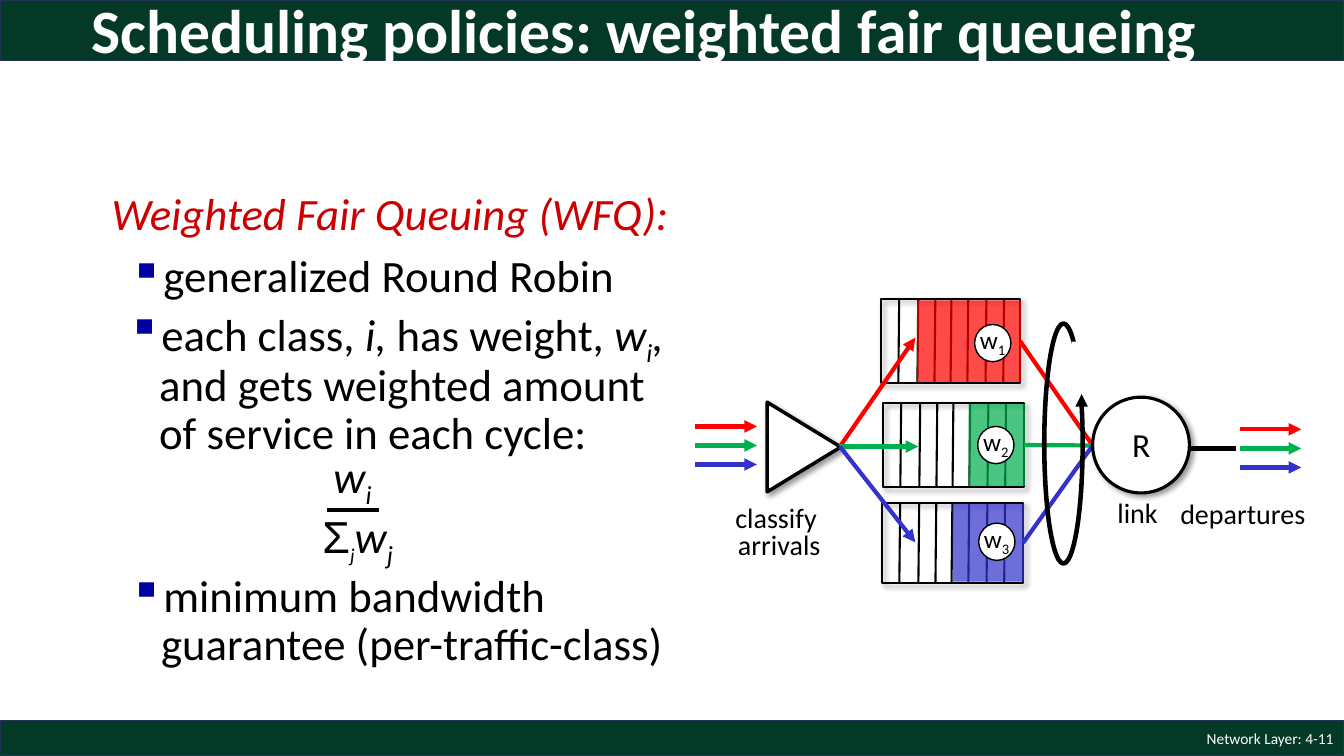
from lxml.etree import SubElement
from pptx import Presentation
from pptx.dml.color import RGBColor
from pptx.enum.shapes import MSO_CONNECTOR as CONNECTOR, MSO_SHAPE as SHAPE
from pptx.enum.text import MSO_ANCHOR as ANCHOR, MSO_AUTO_SIZE as AUTO_SIZE, PP_ALIGN as ALIGN
from pptx.oxml.ns import qn
from pptx.util import Pt

COLORS = {
    "band": "043927", "band_line": "1E3256", "heading": "CC0000", "bullet": "0000A3",
    "black": "000000", "white": "FFFFFF", "red": "FF0000", "green": "00B050", "blue": "3333CC",
}
BANDS = [(0, 0, 960, 43.2), (0, 514.8, 960, 25.2)]

ITALIC = {"italic": True}
SUBSCRIPT = {"italic": True, "baseline": -25}
BULLET = {"margin": 46.1, "indent": -22.3, "spacing": 0.9, "before": 10, "bullet": "▪"}
HEADING = {"margin": 28.1, "indent": -17.3, "spacing": 0.9, "before": 10}
TITLE = {"spacing": 0.9}
CENTERED = {"spacing": 0.8, "align": ALIGN.CENTER}

BLOCKS = [
    ((58.3, -11.5, 828, 70.6), ANCHOR.MIDDLE, [
        (TITLE, [("Scheduling policies: weighted fair queueing",
                  {"size": 44, "bold": True, "color": "white"})])]),
    ((743.8, 514.8, 216, 25.2), ANCHOR.MIDDLE, [
        ({"align": ALIGN.RIGHT}, [("Network Layer: 4-11", {"size": 11, "color": "white"})])]),
    ((61.9, 133.2, 437.8, 87.8), ANCHOR.TOP, [
        (HEADING, [("Weighted Fair Queuing (WFQ):", {"italic": True, "color": "heading"})]),
        (BULLET, [("generalized Round Robin", {})])]),
    ((60.5, 216, 437.8, 111.6), ANCHOR.TOP, [
        (BULLET, [("each class, ", {}), ("i, ", ITALIC), ("has weight, ", {}), ("w", ITALIC),
                  ("i", SUBSCRIPT), (", ", ITALIC),
                  ("and gets weighted amount of service in each cycle:", {})])]),
    ((61.9, 406.1, 437.8, 82.8), ANCHOR.TOP, [
        (BULLET, [("minimum bandwidth guarantee (per-traffic-class)", {})])]),
]
FRACTION = [
    ((231.1, 316.8, 42.5, 46.1), [("w", ITALIC), ("i", SUBSCRIPT)]),
    ((223.2, 360, 67, 46.1), [("Σ", {"name": "Arial"}), ("j", {**SUBSCRIPT, "size": 24}),
                              ("w", ITALIC), ("j", SUBSCRIPT)]),
]
FRACTION_BAR = (233.3, 364.3, 270.7, 364.3)
LABELS = [
    ((517.7, 358.6, 77.8, 46.8), 20, ["classify ", "arrivals"]),
    ((835.2, 355.7, 105.1, 27.4), 20, ["departures"]),
    ((790.6, 355, 43.9, 27.4), 20, ["link"]),
    ((801.4, 304.6, 27.4, 31), 24, ["R"]),
]

QUEUES = [
    {"box": (629.3, 213.8, 99.4, 59.8), "color": "red", "filled_from": 655.2,
     "badge": (696.2, 231.8), "entry": (653.8, 241.2)},
    {"box": (630.7, 288, 100.8, 59.8), "color": "green", "filled_from": 691.9,
     "badge": (698.4, 304.6), "entry": (655.9, 319)},
    {"box": (630, 359.3, 100.8, 56.9), "color": "blue", "filled_from": 680.4,
     "badge": (699.1, 373.7), "entry": (653.8, 387.4)},
]
DIVIDERS = [12.7, 26.3, 38.5, 50, 62, 75, 87.6]
LEAN = 0.3
BADGE_SIZE = (25.9, 26.6)
CLASSIFIER = (542.2, 293, 64.1, 52.6)
CLASSIFIER_TIP = (600, 319)
ROUTER = (780.5, 283.7, 69.1, 68.4)
ROUTER_ENTRY = (780.5, 318.2)
LINK = (846.7, 320.4, 882.7, 320.4)
FLOWS = [(496.1, 540.7, 304.6), (885.6, 929.5, 306.7)]
FLOW_GAP = 13.6
CYCLE = (745.9, 231.1, 27.4, 171.4)
CYCLE_OPENING = (765.4, 244.1, 15.1, 46.1)
CYCLE_ARROW = (772.6, 301.7, 772.6, 281.5)

presentation = Presentation()
presentation.slide_width, presentation.slide_height = Pt(960), Pt(540)
slide = presentation.slides.add_slide(presentation.slide_layouts[6])


def rgb(color):
    return RGBColor.from_string(COLORS[color])


def add_shape(kind, box, fill=None, line=None, width=1, shadow=False, opacity=None):
    shape = slide.shapes.add_shape(kind, *map(Pt, box))
    shape.shadow.inherit = False
    if fill:
        shape.fill.solid()
        shape.fill.fore_color.rgb = rgb(fill)
    else:
        shape.fill.background()
    if line:
        shape.line.color.rgb = rgb(line)
        shape.line.width = Pt(width)
    else:
        shape.line.fill.background()
    if opacity:
        color = shape.fill._xPr.find(qn("a:solidFill")).find(qn("a:srgbClr"))
        SubElement(color, qn("a:alpha"), val=str(opacity * 1000))
    if shadow:
        effects = shape._element.spPr.find(qn("a:effectLst"))
        outer = SubElement(effects, qn("a:outerShdw"), blurRad=str(Pt(4)), dist=str(Pt(3)),
                           dir="2700000", algn="tl", rotWithShape="0")
        color = SubElement(outer, qn("a:srgbClr"), val=COLORS["black"])
        SubElement(color, qn("a:alpha"), val="40000")
    return shape


def add_line(ends, color="black", width=3, arrow=False):
    connector = slide.shapes.add_connector(CONNECTOR.STRAIGHT, *map(Pt, ends))
    connector.line.color.rgb = rgb(color)
    connector.line.width = Pt(width)
    if arrow:
        SubElement(connector.line._get_or_add_ln(), qn("a:tailEnd"), type="triangle")
    SubElement(connector._element.spPr, qn("a:effectLst"))
    return connector


def add_run(paragraph, text, formats):
    values = {"name": "Calibri", "size": 32, "color": "black", **formats}
    run = paragraph.add_run()
    run.text = text
    run.font.color.rgb = rgb(values.pop("color"))
    values["size"] = Pt(values["size"])
    baseline = values.pop("baseline", None)
    if baseline:
        run._r.get_or_add_rPr().set("baseline", str(baseline * 1000))
    for name, value in values.items():
        setattr(run.font, name, value)


def format_paragraph(paragraph, layout):
    if "align" in layout:
        paragraph.alignment = layout["align"]
    if "spacing" in layout:
        paragraph.line_spacing = layout["spacing"]
    if "before" in layout:
        paragraph.space_before = Pt(layout["before"])
    properties = paragraph._p.get_or_add_pPr()
    if "margin" in layout:
        properties.set("marL", str(Pt(layout["margin"])))
        properties.set("indent", str(Pt(layout["indent"])))
    if "bullet" in layout:
        color = SubElement(properties, qn("a:buClr"))
        SubElement(color, qn("a:srgbClr"), val=COLORS["bullet"])
        SubElement(properties, qn("a:buChar"), char=layout["bullet"])


def add_text(box, paragraphs, anchor=ANCHOR.TOP, wrap=True):
    frame = slide.shapes.add_textbox(*map(Pt, box)).text_frame
    frame.word_wrap = wrap
    frame.auto_size = AUTO_SIZE.NONE if wrap else AUTO_SIZE.SHAPE_TO_FIT_TEXT
    frame.vertical_anchor = anchor
    for index, (layout, runs) in enumerate(paragraphs):
        paragraph = frame.add_paragraph() if index else frame.paragraphs[0]
        format_paragraph(paragraph, layout)
        for text, formats in runs:
            add_run(paragraph, text, formats)


for band in BANDS:
    add_shape(SHAPE.RECTANGLE, band, "band", "band_line")
for box, anchor, paragraphs in BLOCKS:
    add_text(box, paragraphs, anchor)
for box, runs in FRACTION:
    add_text(box, [({}, runs)], wrap=False)
add_line(FRACTION_BAR)

add_line(LINK)
queue_shapes = []
for queue in QUEUES:
    left, top, width, height = queue["box"]
    queue_shapes.append(add_shape(SHAPE.RECTANGLE, queue["box"], None, "black", 1.5, shadow=True))
    for offset in DIVIDERS:
        x = left + offset
        add_line((x + LEAN, top, x - LEAN, top + height), width=1.5)
    start = queue["filled_from"]
    add_shape(SHAPE.RECTANGLE, (start, top + 0.7, left + width + 0.7 - start, height - 1.4),
              queue["color"], opacity=71)

add_shape(SHAPE.ISOSCELES_TRIANGLE, CLASSIFIER, "white", "black", 2.5, shadow=True).rotation = 90
for start, end, top in FLOWS:
    for index, queue in enumerate(QUEUES):
        y = top + index * FLOW_GAP
        add_line((start, y, end, y), queue["color"], arrow=True)
for queue, shape in zip(QUEUES, queue_shapes):
    left, top, width, height = queue["box"]
    add_line((*CLASSIFIER_TIP, *queue["entry"]), queue["color"], arrow=True)
    service = add_line((left + width, top + height / 2, *ROUTER_ENTRY), queue["color"])
    service.begin_connect(shape, 3)

add_shape(SHAPE.OVAL, ROUTER, "white", "black", 2.25, shadow=True)
for box, size, lines in LABELS:
    add_text(box, [(CENTERED, [(line, {"size": size})]) for line in lines], wrap=False)

add_shape(SHAPE.OVAL, CYCLE, None, "black", 3.25)
add_shape(SHAPE.RECTANGLE, CYCLE_OPENING, "white")
add_line(CYCLE_ARROW, arrow=True)
for number, queue in enumerate(QUEUES, 1):
    left, top = queue["badge"]
    add_shape(SHAPE.OVAL, (left, top, *BADGE_SIZE), "white", "black")
    add_text((left - 3.3, top - 3.6, 33.8, 28.8),
             [({}, [("w", {"size": 18}), (str(number), {"size": 18, "baseline": -25})])], wrap=False)

presentation.save("out.pptx")
